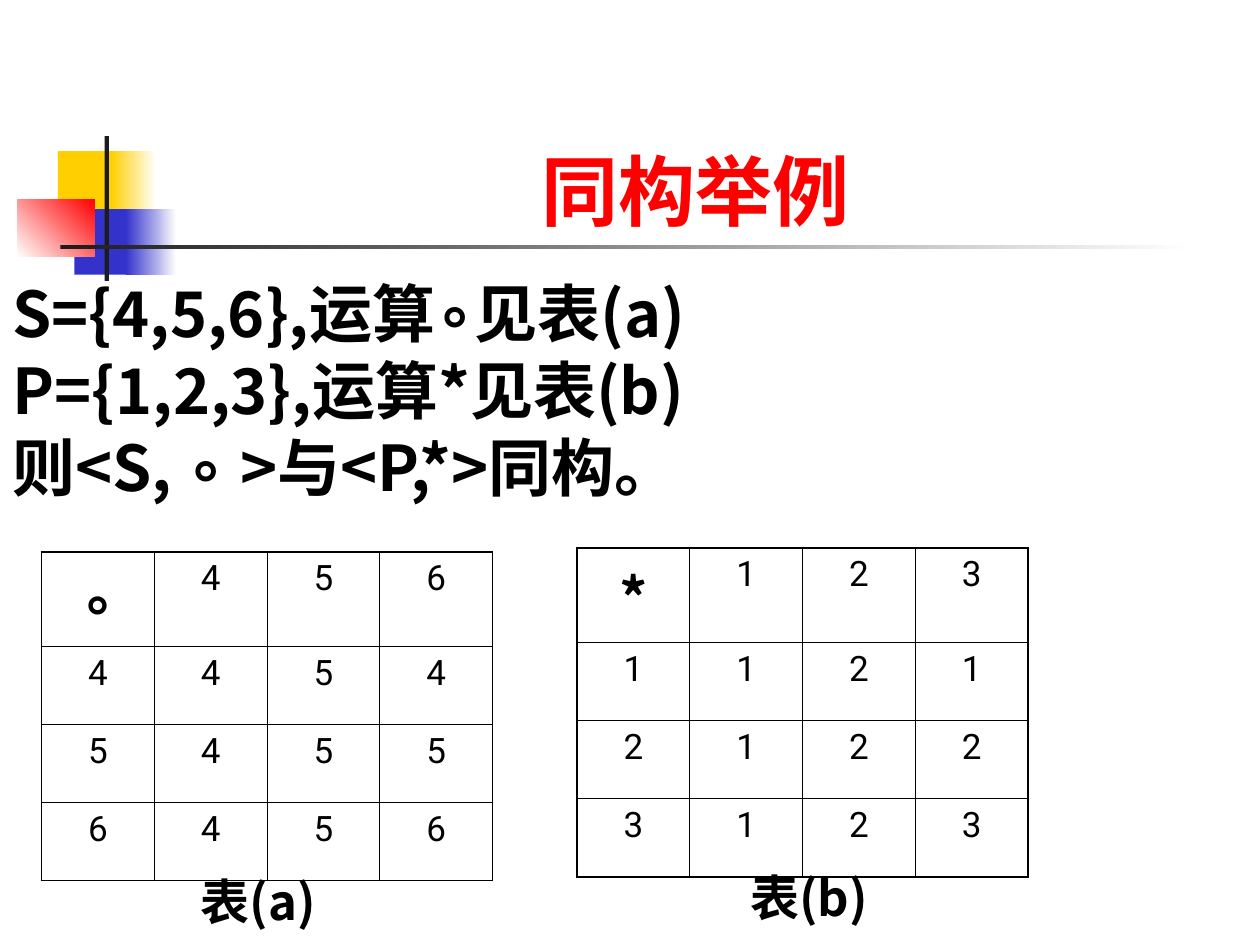
from dataclasses import dataclass

from lxml import etree
from pptx import Presentation
from pptx.dml.color import RGBColor
from pptx.enum.shapes import MSO_SHAPE
from pptx.enum.text import MSO_ANCHOR, PP_ALIGN
from pptx.oxml.ns import qn
from pptx.util import Inches, Pt

RECTANGLE = MSO_SHAPE.RECTANGLE
TOP, MIDDLE, BOTTOM = MSO_ANCHOR.TOP, MSO_ANCHOR.MIDDLE, MSO_ANCHOR.BOTTOM
LEFT, CENTER = PP_ALIGN.LEFT, PP_ALIGN.CENTER

SLIDE_WIDTH, SLIDE_HEIGHT = Inches(10), Inches(7.5)
COLUMN, ROW = SLIDE_WIDTH / 100, SLIDE_HEIGHT / 75
COLORS = {
    "white": "FFFFFF",
    "black": "000000",
    "yellow": "FFCF01",
    "blue": "3333CC",
    "red": "FF0000",
    "charcoal": "1C1C1C",
}
CJK_FONT, LATIN_FONT = "Noto Sans CJK JP", "Roboto"
THIN_LINE, THICK_LINE = 0.45, 1.08
TABLE_COLUMN = 8.95
TABLE_ROWS = (7.5, 6.2, 6.2, 6.2)


@dataclass(frozen=True)
class Box:
    column: float
    row: float
    columns: float
    rows: float

    def lengths(self) -> tuple[int, int, int, int]:
        return (round(self.column * COLUMN), round(self.row * ROW),
                round(self.columns * COLUMN), round(self.rows * ROW))


@dataclass(frozen=True)
class Style:
    size: float
    font: str = CJK_FONT
    color: str = "black"
    bold: bool = True


@dataclass(frozen=True)
class Block:
    box: Box
    start: str
    end: str = ""
    angle: float = 0


@dataclass(frozen=True)
class Label:
    box: Box
    lines: tuple[str, ...]
    style: Style
    anchor: MSO_ANCHOR = MIDDLE
    alignment: PP_ALIGN = CENTER
    wrap: bool = False
    hanging: float = 0
    line_spacing: float = 1
    space_before: float = 0


@dataclass(frozen=True)
class OperationTable:
    column: float
    row: float
    rows: tuple[str, ...]


TITLE_STYLE = Style(44, LATIN_FONT, "red")
BODY_STYLE = Style(36)
OPERATOR_STYLE = Style(32)
NUMBER_STYLE = Style(20, LATIN_FONT, bold=False)
CAPTION_STYLE = Style(28)

BLOCKS = (
    Block(Box(4.6, 12, 4.8, 5.2), "yellow"),
    Block(Box(8.8, 12, 3.6, 5.2), "yellow", "white"),
    Block(Box(5.9, 16.6, 4.6, 5.2), "blue"),
    Block(Box(10, 16.6, 4, 5.2), "blue", "white"),
    Block(Box(1.4, 15.8, 6.1, 4.6), "white", "red", 45),
    Block(Box(8.3, 10.8, 0.35, 11.5), "charcoal"),
    Block(Box(4.8, 19.45, 90, 0.35), "charcoal", "white"),
)
LABELS = (
    Label(Box(12.6, 6.7, 85.2, 12.5), ("同构举例",), TITLE_STYLE, BOTTOM, wrap=True),
    Label(Box(0, 22.1, 97.9, 22.1),
          ("S={4,5,6},运算∘见表(a)", "P={1,2,3},运算*见表(b)", "则<S, ∘ >与<P,*>同构。"),
          BODY_STYLE, TOP, LEFT, True, 3.8, 0.88, 6),
    Label(Box(10.5, 69.4, 20, 4.2), ("表(a)",), CAPTION_STYLE),
    Label(Box(54.2, 69.1, 20, 4.2), ("表(b)",), CAPTION_STYLE),
)
TABLES = (
    OperationTable(3.3, 43.8, ("∘456", "4454", "5455", "6456")),
    OperationTable(45.8, 43.5, ("*123", "1121", "2122", "3123")),
)


def rgb(name: str) -> RGBColor:
    return RGBColor.from_string(COLORS[name])


def add_text(paragraph, text: str, style: Style) -> None:
    run = paragraph.add_run()
    run.text = text
    run.font.size = Pt(style.size)
    run.font.bold = style.bold
    run.font.color.rgb = rgb(style.color)
    run.font.name = style.font
    properties = run._r.get_or_add_rPr()
    etree.SubElement(properties, qn("a:ea")).set("typeface", style.font)


def draw_block(slide, block: Block) -> None:
    shape = slide.shapes.add_shape(RECTANGLE, *block.box.lengths())
    shape.shadow.inherit = False
    shape.line.fill.background()
    if not block.end:
        shape.fill.solid()
        shape.fill.fore_color.rgb = rgb(block.start)
        return
    shape.fill.gradient()
    shape.fill.gradient_angle = block.angle
    for stop, name in zip(shape.fill.gradient_stops, (block.start, block.end)):
        stop.color.rgb = rgb(name)


def draw_label(slide, label: Label) -> None:
    frame = slide.shapes.add_textbox(*label.box.lengths()).text_frame
    frame.word_wrap = label.wrap
    frame.vertical_anchor = label.anchor
    for index, line in enumerate(label.lines):
        paragraph = frame.add_paragraph() if index else frame.paragraphs[0]
        paragraph.alignment = label.alignment
        paragraph.line_spacing = label.line_spacing
        if index:
            paragraph.space_before = Pt(label.space_before)
        if label.hanging:
            indent = round(label.hanging * COLUMN)
            properties = paragraph._p.get_or_add_pPr()
            properties.set("marL", str(indent))
            properties.set("indent", str(-indent))
        add_text(paragraph, line, label.style)


def set_border(cell, side: str, width: float) -> None:
    line = etree.SubElement(cell._tc.get_or_add_tcPr(), qn(f"a:ln{side}"))
    line.set("w", str(Pt(width)))
    fill = etree.SubElement(line, qn("a:solidFill"))
    etree.SubElement(fill, qn("a:srgbClr")).set("val", COLORS["black"])


def draw_table(slide, operation: OperationTable) -> None:
    count = len(operation.rows)
    last = count - 1
    box = Box(operation.column, operation.row, count * TABLE_COLUMN, sum(TABLE_ROWS))
    table = slide.shapes.add_table(count, count, *box.lengths()).table
    table.first_row = False
    table.horz_banding = False
    for index, height in enumerate(TABLE_ROWS):
        table.rows[index].height = round(height * ROW)
        table.columns[index].width = round(TABLE_COLUMN * COLUMN)
    for row, values in enumerate(operation.rows):
        for column, value in enumerate(values):
            cell = table.cell(row, column)
            outer_sides = {"L": column == 0, "R": column == last,
                           "T": row == 0, "B": row == last}
            for side, outer in outer_sides.items():
                set_border(cell, side, THICK_LINE if outer else THIN_LINE)
            cell.fill.background()
            paragraph = cell.text_frame.paragraphs[0]
            paragraph.alignment = CENTER
            add_text(paragraph, value, NUMBER_STYLE if row or column else OPERATOR_STYLE)


def main() -> None:
    presentation = Presentation()
    presentation.slide_width = SLIDE_WIDTH
    presentation.slide_height = SLIDE_HEIGHT
    slide = presentation.slides.add_slide(presentation.slide_layouts[6])
    for block in BLOCKS:
        draw_block(slide, block)
    for operation in TABLES:
        draw_table(slide, operation)
    for label in LABELS:
        draw_label(slide, label)
    presentation.save("out.pptx")


if __name__ == "__main__":
    main()
